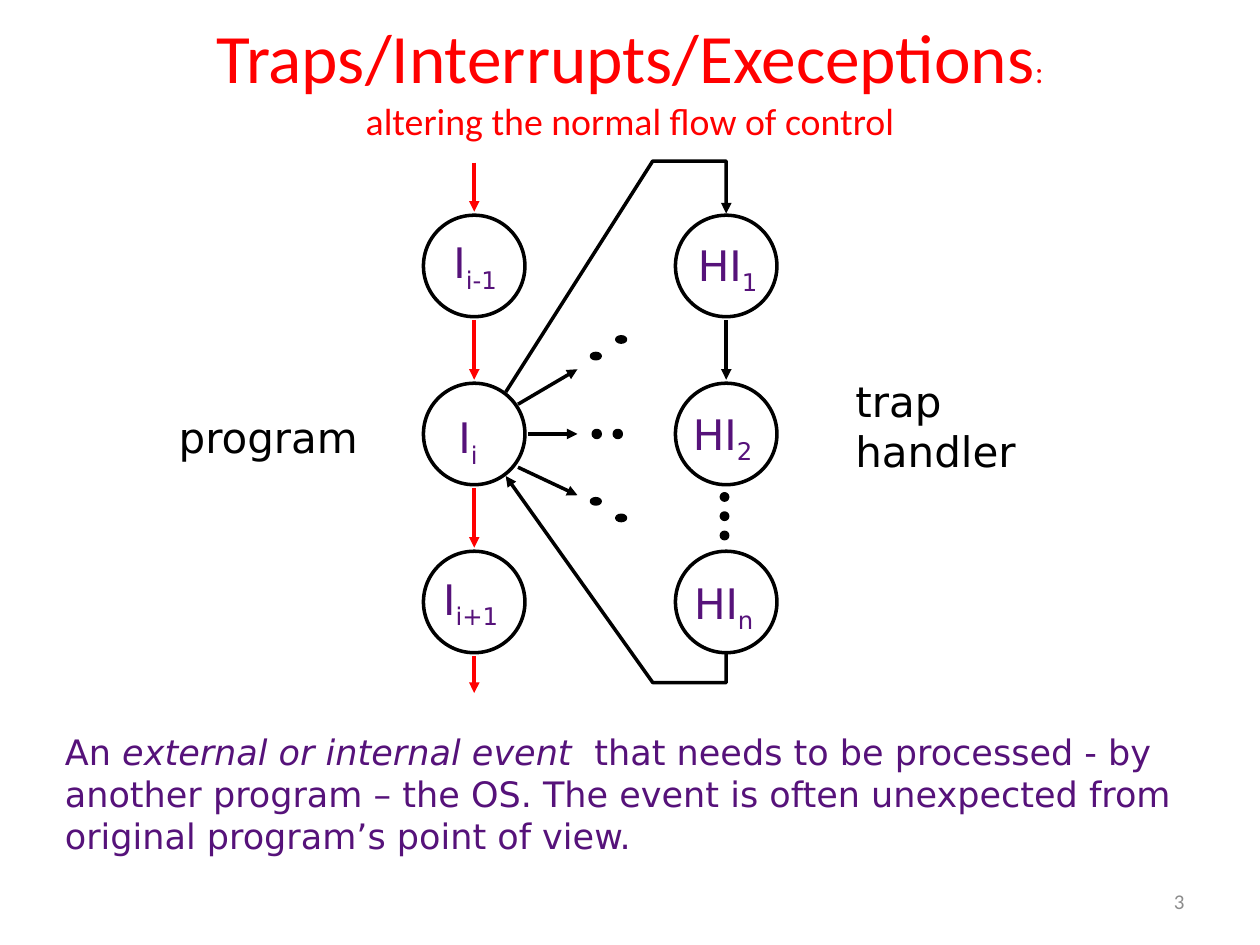
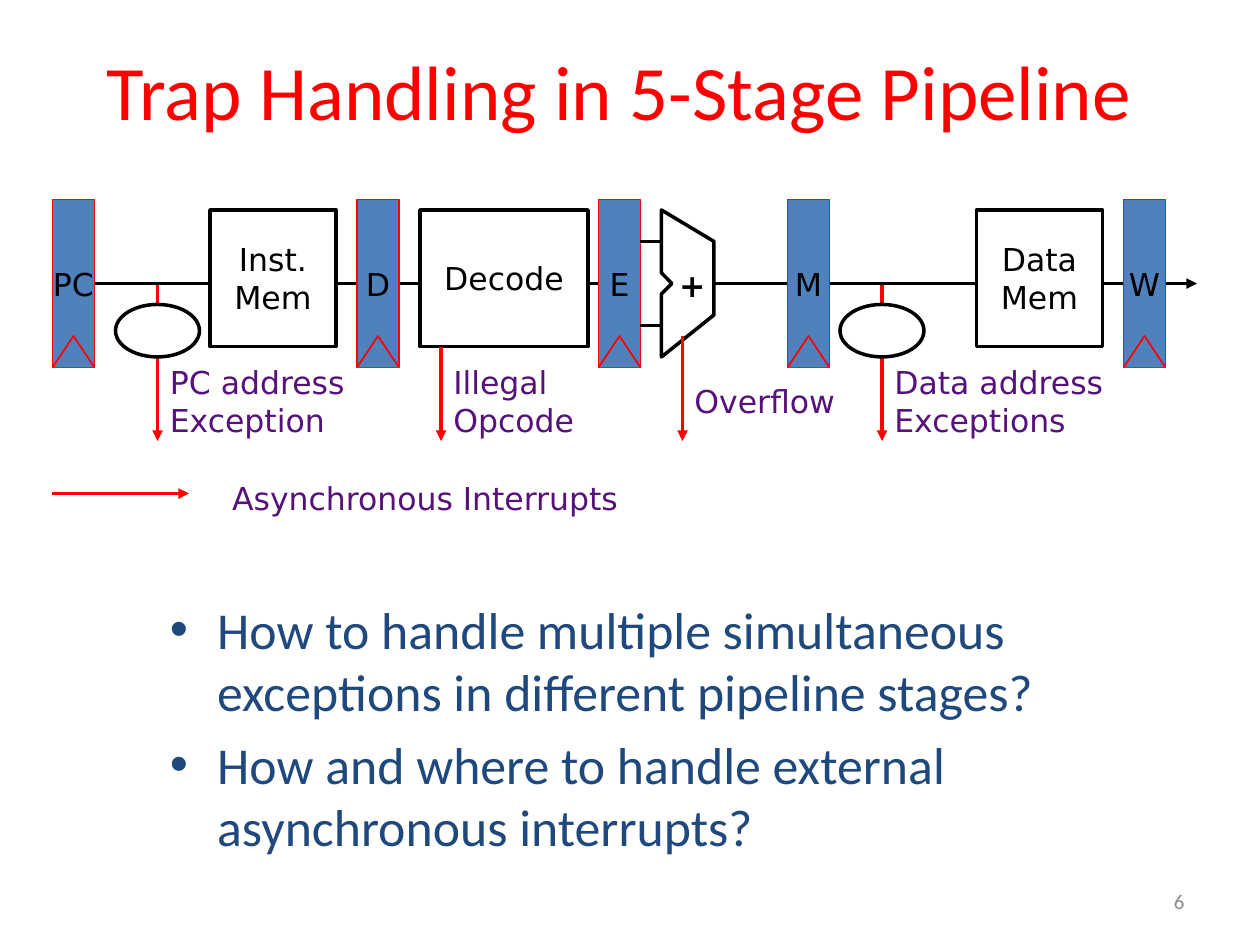
from lxml.etree import SubElement
from pptx import Presentation
from pptx.dml.color import RGBColor
from pptx.enum.shapes import MSO_CONNECTOR, MSO_SHAPE
from pptx.enum.text import MSO_ANCHOR, MSO_AUTO_SIZE, PP_ALIGN
from pptx.oxml.ns import qn
from pptx.util import Pt

RED = RGBColor(0xFF, 0x00, 0x00)
BLACK = RGBColor(0x00, 0x00, 0x00)
WHITE = RGBColor(0xFF, 0xFF, 0xFF)
PURPLE = RGBColor(0x56, 0x12, 0x7A)
NAVY = RGBColor(0x1F, 0x49, 0x7D)
STEEL = RGBColor(0x4F, 0x81, 0xBD)
GRAY = RGBColor(0x8C, 0x8C, 0x8C)
HEAD_FONT, DIAGRAM_FONT = "Calibri", "DejaVu Sans"
LEFT, CENTER, RIGHT = PP_ALIGN.LEFT, PP_ALIGN.CENTER, PP_ALIGN.RIGHT
TOP, MIDDLE = MSO_ANCHOR.TOP, MSO_ANCHOR.MIDDLE


def write(tf, paragraphs, size=18, color=PURPLE, font=DIAGRAM_FONT, align=LEFT,
          anchor=TOP, wrap=True, bullet=False):
    """Fill tf; a paragraph is a string or a list of (text, run options)."""
    tf.word_wrap = wrap
    tf.vertical_anchor = anchor
    for i, runs in enumerate(paragraphs):
        p = tf.paragraphs[0] if i == 0 else tf.add_paragraph()
        p.alignment = align
        if bullet:
            add_bullet(p)
            p.space_before = Pt(6 if i else 0)
        for text, options in [(runs, {})] if isinstance(runs, str) else runs:
            if text == "\n":
                p.add_line_break()
                continue
            r = p.add_run()
            r.text = text
            r.font.name = font
            r.font.size = Pt(options.get("size", size))
            r.font.color.rgb = color
            r.font.bold = options.get("bold", False)
            r.font.italic = options.get("italic", False)
            if options.get("sub"):
                r._r.get_or_add_rPr().set("baseline", "-25000")


def add_bullet(p):
    pPr = p._p.get_or_add_pPr()
    pPr.set("marL", str(Pt(27)))
    pPr.set("indent", str(-Pt(27)))
    SubElement(pPr, qn("a:buFont"), typeface="Arial")
    SubElement(pPr, qn("a:buChar"), char="•")


def add_text(s, x, y, w, h, paragraphs, **style):
    tf = s.shapes.add_textbox(Pt(x), Pt(y), Pt(w), Pt(h)).text_frame
    write(tf, paragraphs, **style)
    if not tf.word_wrap:
        tf.auto_size = MSO_AUTO_SIZE.SHAPE_TO_FIT_TEXT


def outline(sp, fill, color, width):
    sp.shadow.inherit = False
    if fill is None:
        sp.fill.background()
    else:
        sp.fill.solid()
        sp.fill.fore_color.rgb = fill
    sp.line.color.rgb = color
    sp.line.width = Pt(width)


def add_box(s, kind, x, y, w, h, fill=WHITE, color=BLACK, width=2):
    sp = s.shapes.add_shape(kind, Pt(x), Pt(y), Pt(w), Pt(h))
    outline(sp, fill, color, width)
    return sp


def add_oval(s, cx, cy, w, h, fill=WHITE):
    add_box(s, MSO_SHAPE.OVAL, cx - w / 2, cy - h / 2, w, h, fill)


def add_arrowhead(sp, end):
    SubElement(sp.line._get_or_add_ln(), qn(f"a:{end}"), type="triangle")


def add_line(s, x1, y1, x2, y2, color=BLACK, arrow=True):
    line = s.shapes.add_connector(MSO_CONNECTOR.STRAIGHT, Pt(x1), Pt(y1), Pt(x2), Pt(y2))
    line.line.color.rgb = color
    line.line.width = Pt(2)
    if arrow:
        add_arrowhead(line, "tailEnd")
    SubElement(line._element.spPr, qn("a:effectLst"))


def add_path(s, points, close=False, fill=None, color=BLACK, width=2, arrow=None):
    start, *rest = [(Pt(x), Pt(y)) for x, y in points]
    builder = s.shapes.build_freeform(*start, scale=1.0)
    builder.add_line_segments(rest, close=close)
    sp = builder.convert_to_shape()
    outline(sp, fill, color, width)
    if arrow:
        add_arrowhead(sp, arrow)


def add_slide(prs, number, title, title_box, title_size):
    s = prs.slides.add_slide(prs.slide_layouts[6])
    add_text(s, 516, 500.4, 168, 28.8, [str(number)], size=12, color=GRAY,
             font=HEAD_FONT, align=RIGHT, anchor=MIDDLE)
    add_text(s, *title_box, [title], size=title_size, color=RED,
             font=HEAD_FONT, align=CENTER, anchor=MIDDLE)
    return s


def build_control_flow(prs):
    title = [("Traps/Interrupts/Execeptions", {}), (":", {"size": 18}), ("\n", {}),
             ("altering the normal flow of control", {"size": 21.6})]
    s = add_slide(prs, 3, title, (78, 6, 564, 78), 39.6)
    program_x, handler_x = 271, 415
    rows = [152, 248, 344]
    gap = 31  # from a node's centre to an arrow end

    add_path(s, [(289, 272), (373, 390), (handler_x, 390), (handler_x, 363)],
             arrow="headEnd")
    add_path(s, [(289, 224), (373, 92), (handler_x, 92), (handler_x, 122)],
             arrow="tailEnd")
    for x in (program_x, handler_x):
        for y in rows:
            add_oval(s, x, y, 58, 58)

    starts = [93] + [y + gap for y in rows]
    ends = [y - gap for y in rows] + [396]
    for y1, y2 in zip(starts, ends):
        add_line(s, program_x, y1, program_x, y2, RED)
    add_line(s, handler_x, rows[0] + gap, handler_x, rows[1] - gap)
    for x1, y1, y2 in [(296, 231, 211), (302, 248, 248), (296, 267, 283)]:
        add_line(s, x1, y1, 330, y2)

    for x, y, w, h in [(340.5, 203.5, 5, 3), (355, 194, 5, 3),
                       (341, 248, 4, 4), (353, 248, 4, 4),
                       (340.5, 286.5, 5, 3), (355, 296, 5, 3)]:
        add_oval(s, x, y, w, h, BLACK)
    for i in range(3):
        add_oval(s, 414, 284 + 11 * i, 3.6, 3.6, BLACK)

    for x, y, w, name, index in [
            (252, 131.8, 48, "I", "i-1"), (254.9, 231.8, 30, "I", "i"),
            (246.2, 324, 54, "I", "i+1"), (391.7, 133.2, 54, "HI", "1"),
            (388.8, 229.7, 54, "HI", "2"), (389.5, 326.2, 54, "HI", "n")]:
        add_text(s, x, y, w, 36, [[(name, {}), (index, {"sub": True})]],
                 size=24, wrap=False)
    add_text(s, 95, 231.8, 120, 36, ["program"], size=24, color=BLACK, wrap=False)
    add_text(s, 481.7, 211, 110, 65.5, ["trap", "handler"], size=24, color=BLACK,
             wrap=False)
    add_text(s, 30, 414, 660, 79.2, [[
        ("An ", {}), ("external or internal event", {"italic": True}),
        ("  that needs to be processed - by another program – the OS. The event "
         "is often unexpected from original program’s point of view.", {})]], size=20)


def add_register(s, x, name):
    """Pipeline register with a clock notch at its foot."""
    sp = add_box(s, MSO_SHAPE.RECTANGLE, x, 114, 24, 96, STEEL, RED, 1)
    write(sp.text_frame, [name], color=BLACK, align=CENTER, anchor=MIDDLE, wrap=False)
    add_path(s, [(x, 210), (x + 12, 192), (x + 24, 210)], fill=STEEL, color=RED, width=1)


def add_stage(s, x, w, name):
    sp = add_box(s, MSO_SHAPE.RECTANGLE, x, 120, w, 78)
    write(sp.text_frame, [name], color=BLACK, align=CENTER, anchor=MIDDLE)


def build_pipeline(prs):
    s = add_slide(prs, 6, "Trap Handling in 5-Stage Pipeline", (30, 6, 648, 90), 44)
    add_text(s, 90, 338, 543.6, 144, [
        "How to handle multiple simultaneous exceptions in different pipeline stages?",
        "How and where to handle external asynchronous interrupts?",
    ], size=29.6, color=NAVY, font=HEAD_FONT, bullet=True)

    bus_y, trap_y = 162, 252
    address_checks = (90, 504)
    for x in address_checks:
        add_line(s, x, bus_y, x, trap_y, RED)
    add_line(s, 408, bus_y, 684, bus_y)
    add_line(s, 42, bus_y, 342, bus_y, arrow=False)
    for x, name in [(30, "PC"), (204, "D"), (342, "E"), (450, "M"), (642, "W")]:
        add_register(s, x, name)
    for x, w, name in [(120, 72, "Inst. Mem"), (240, 96, "Decode"), (558, 72, "Data Mem")]:
        add_stage(s, x, w, name)

    add_path(s, [(378, 120), (378, 156), (384, 162), (378, 168), (378, 204),
                 (408, 180), (408, 138)], close=True, fill=WHITE)
    for y in (138, 186):
        add_line(s, 366, y, 378, y, arrow=False)
    add_text(s, 380.6, 149.8, 30, 26.6, [[("+", {"bold": True})]], color=BLACK,
             align=CENTER, anchor=MIDDLE, wrap=False)

    for x in address_checks:
        add_oval(s, x, 189, 48, 30)
    for x, y in [(252, 198), (390, 192)]:
        add_line(s, x, y, x, trap_y, RED)
    for x, w, cause in [(90, 126.7, "PC address Exception"), (252, 96, "Illegal Opcode"),
                        (504, 144, "Data address Exceptions")]:
        add_text(s, x, 204, w, 50.4, [cause], anchor=MIDDLE)
    add_text(s, 387, 214.6, 100, 28.8, ["Overflow"], align=CENTER, anchor=MIDDLE,
             wrap=False)
    add_line(s, 30, 282, 108, 282, RED)
    add_text(s, 114, 270, 257.8, 28.8, ["Asynchronous Interrupts"], align=CENTER)


def main():
    prs = Presentation()
    prs.slide_width, prs.slide_height = Pt(720), Pt(540)
    build_control_flow(prs)
    build_pipeline(prs)
    prs.save("out.pptx")


if __name__ == "__main__":
    main()
